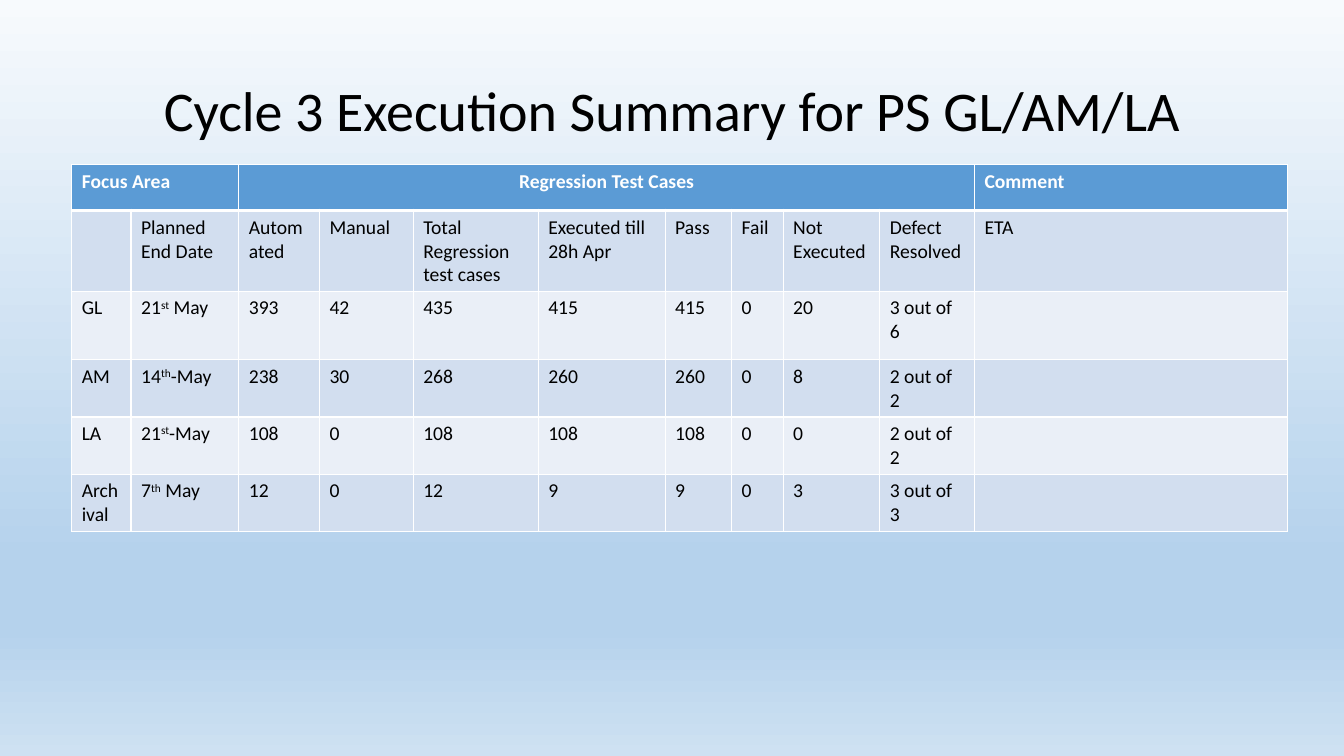
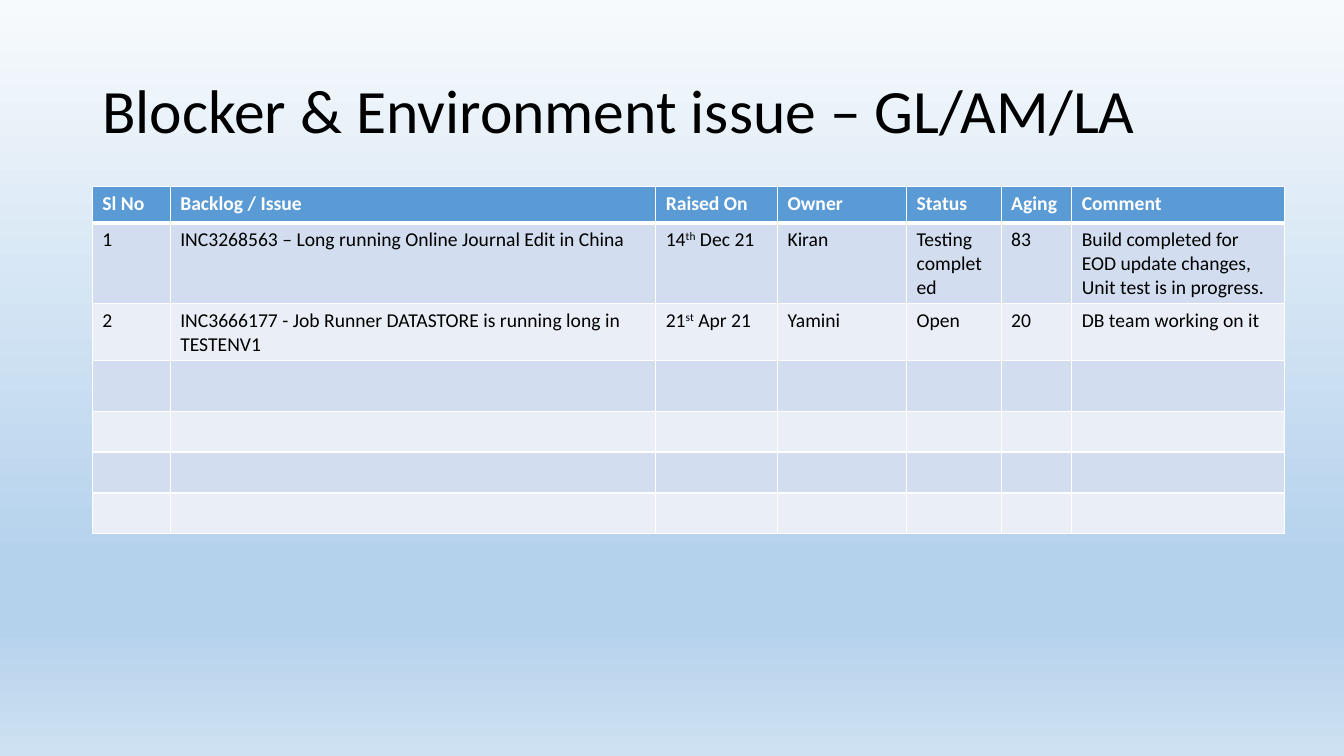
from lxml.etree import SubElement
from pptx import Presentation
from pptx.dml.color import RGBColor
from pptx.enum.text import MSO_ANCHOR, PP_ALIGN
from pptx.oxml.ns import qn
from pptx.util import Pt

FONT = "Calibri"
COLORS = {
    "text": "000000", "white": "FFFFFF", "header": "5B9BD5",
    "odd": "D2DEEF", "even": "EAEFF7",
    "sky_top": "F7FAFD", "sky_mid": "B5D2EC", "sky_low": "CEE1F2",
}
SKY = [(0, "sky_top"), (74, "sky_mid"), (83, "sky_mid"), (100, "sky_low")]

# Cell text: parts between carets are superscript
SUMMARY = [
    ["Focus Area", "", "Regression Test Cases"] + [""] * 7 + ["Comment"],
    ["", "Planned End Date", "Automated", "Manual", "Total Regression test cases",
     "Executed till 28h Apr", "Pass", "Fail", "Not Executed", "Defect Resolved", "ETA"],
    ["GL", "21^st^ May", "393", "42", "435", "415", "415", "0", "20", "3 out of 6", ""],
    ["AM", "14^th^-May", "238", "30", "268", "260", "260", "0", "8", "2 out of 2", ""],
    ["LA", "21^st^-May", "108", "0", "108", "108", "108", "0", "0", "2 out of 2", ""],
    ["Archival", "7^th^ May", "12", "0", "12", "9", "9", "0", "3", "3 out of 3", ""],
]
ISSUES = [
    ["Sl No", "Backlog / Issue", "Raised On", "Owner", "Status", "Aging", "Comment"],
    ["1", "INC3268563 – Long running Online Journal Edit in China", "14^th^ Dec 21",
     "Kiran", "Testing completed", "83",
     "Build completed for EOD update changes, Unit test is in progress."],
    ["2", "INC3666177 - Job Runner DATASTORE is running long in TESTENV1",
     "21^st^ Apr 21", "Yamini", "Open", "20", "DB team working on it"],
] + [[""] * 7] * 4


def rgb(name):
    return RGBColor.from_string(COLORS[name])


def write(tf, text, size=14, color="text", bold=False, align=PP_ALIGN.LEFT, spacing=None):
    p = tf.paragraphs[0]
    p.alignment = align
    if spacing:
        p.line_spacing = spacing
    for i, part in enumerate(text.split("^")):
        if not part:
            continue
        r = p.add_run()
        r.text = part
        r.font.name, r.font.size, r.font.bold = FONT, Pt(size), bold
        r.font.color.rgb = rgb(color)
        if i % 2:
            r._r.get_or_add_rPr().set("baseline", "30000")


def set_background(master):
    fill = master.background.fill
    fill.gradient()
    fill.gradient_angle = 270
    stops = master.element.find(".//" + qn("p:bg")).find(".//" + qn("a:gsLst"))
    for stop in list(stops):
        stops.remove(stop)
    for pos, name in SKY:
        stop = SubElement(stops, qn("a:gs"), pos=str(pos * 1000))
        SubElement(stop, qn("a:srgbClr"), val=COLORS[name])


def set_borders(cell, top, bottom):
    tcPr = cell._tc.get_or_add_tcPr()
    for tag, width in (("lnL", 1), ("lnR", 1), ("lnT", top), ("lnB", bottom)):
        ln = SubElement(tcPr, qn("a:" + tag), w=str(Pt(width)))
        solid = SubElement(ln, qn("a:solidFill"))
        SubElement(solid, qn("a:srgbClr"), val=COLORS["white"])


def add_title(s, text, size, align=PP_ALIGN.LEFT):
    tf = s.shapes.add_textbox(Pt(66), Pt(28.8), Pt(828), Pt(104.4)).text_frame
    tf.word_wrap = True
    tf.vertical_anchor = MSO_ANCHOR.MIDDLE
    write(tf, text, size=size, align=align, spacing=0.9)


def add_grid(s, left, top, widths, heights, rows, spans=()):
    """Spans are (first, last) column pairs merged and in the header."""
    table = s.shapes.add_table(len(rows), len(widths), Pt(left), Pt(top),
                               Pt(sum(widths)), Pt(sum(heights))).table
    for col, width in zip(table.columns, widths):
        col.width = Pt(width)
    for row, height in zip(table.rows, heights):
        row.height = Pt(height)
    for first, last in spans:
        table.cell(0, first).merge(table.cell(0, last))
    for i, row in enumerate(rows):
        header = i == 0
        for j, text in enumerate(row):
            cell = table.cell(i, j)
            set_borders(cell, top=3 if i == 1 else 1, bottom=3 if header else 1)
            cell.fill.solid()
            cell.fill.fore_color.rgb = rgb("header" if header else "odd" if i % 2 else "even")
            centred = header and cell.is_merge_origin and cell.span_width > 2
            write(cell.text_frame, text, bold=header, color="white" if header else "text",
                  align=PP_ALIGN.CENTER if centred else PP_ALIGN.LEFT)


def main():
    prs = Presentation()
    prs.slide_width, prs.slide_height = Pt(960), Pt(540)
    set_background(prs.slide_master)
    blank = prs.slide_layouts[6]

    # Execution summary
    s = prs.slides.add_slide(blank)
    add_title(s, "Cycle 3 Execution Summary for PS GL/AM/LA", 40, PP_ALIGN.CENTER)
    add_grid(s, 51.2, 117.4,
             [42.4, 77, 57.6, 67, 89.3, 90.7, 47.5, 36.8, 69, 67.7, 223.8],
             [33, 49, 49, 35.3, 35.3, 35.3], SUMMARY, spans=[(0, 1), (2, 9)])

    # Blockers and environment issues
    s = prs.slides.add_slide(blank)
    add_title(s, "Blocker & Environment issue – GL/AM/LA", 44)
    add_grid(s, 66, 133.2, [55.6, 346.8, 87, 92.2, 67.6, 50.4, 152],
             [26, 29.2, 29.2, 36, 29.2, 29.2, 29.2], ISSUES)

    prs.save("out.pptx")


main()
